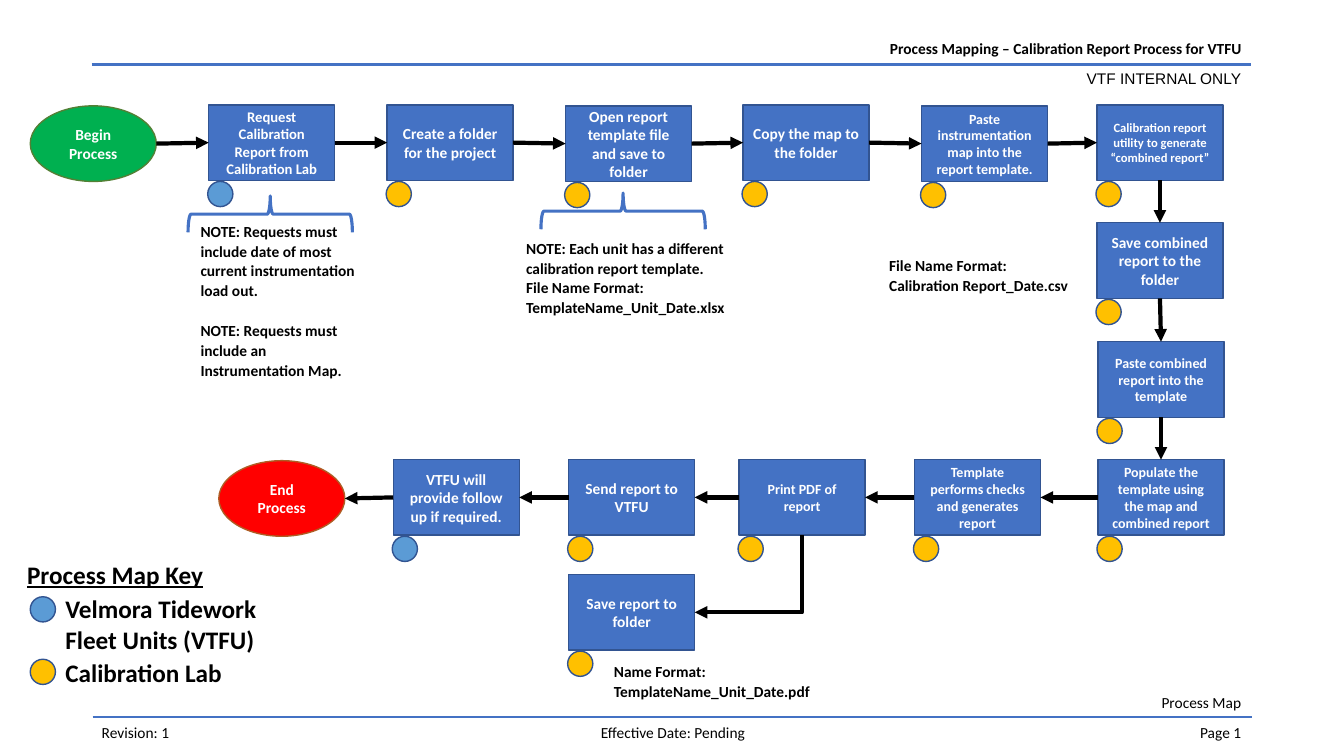
from collections import namedtuple
from itertools import pairwise

from lxml.etree import SubElement
from pptx import Presentation
from pptx.dml.color import RGBColor
from pptx.enum.shapes import MSO_CONNECTOR as CONN, MSO_SHAPE as SHAPE
from pptx.enum.text import MSO_ANCHOR as ANCHOR, MSO_AUTO_SIZE as AUTO, PP_ALIGN as ALIGN
from pptx.oxml.ns import qn
from pptx.util import Inches, Pt

Theme = namedtuple("Theme", "box edge begin begin_edge end end_edge fleet lab ink white "
                            "font alt_font body key")
T = Theme("4472C4", "325491", "00B050", "538035", "FF0000", "AF5C24", "5B9BD5", "FFC000",
          "000000", "FFFFFF", "Calibri", "Arial", 11, 18)

TITLE = ("Process Mapping – Calibration Report Process for VTFU", 6.34, 0.34, 6.08, 0.29)
LABELS = [
    ("VTF INTERNAL ONLY", 9.67, 0.64, 2.74, 0.29, ALIGN.RIGHT, {"name": T.alt_font}),
    ("Revision: 1", 0.91, 7.12, 2.01, 0.29, ALIGN.LEFT, {}),
    ("Process Map", 10.4, 6.83, 2.01, 0.29, ALIGN.RIGHT, {}),
    ("Effective Date: Pending", 5.67, 7.12, 2.01, 0.29, ALIGN.CENTER, {}),
    ("Page 1", 10.4, 7.12, 2.01, 0.29, ALIGN.RIGHT, {}),
    ("Process Map Key", 0.17, 5.5, 2.01, 0.4, ALIGN.LEFT,
     {"size": Pt(T.key), "bold": True, "underline": True}),
]
RULES = [(0.91, 0.64), (0.92, 7.11)]
RULE_W = 11.5
KEY = [
    ("Velmora Tidework Fleet Units (VTFU)", T.fleet, 5.92, 5.84, 2.37, 0.71),
    ("Calibration Lab", T.lab, 6.54, 6.47, 3.93, 0.4),
]
STEP_W, STEP_H, DOT = 1.25, 0.75, 0.25
BEGIN = ("Begin Process", 0.3, 1.05, T.begin, T.begin_edge)
END = ("End Process", 2.17, 4.57, T.end, T.end_edge)
STEPS = [
    ("Request Calibration Report from Calibration Lab", 2.07, 1.04, 10.5, T.fleet),
    ("Create a folder for the project", 3.84, 1.04, 11, T.lab),
    ("Open report template file and save to folder", 5.61, 1.05, 11, T.lab),
    ("Copy the map to the folder", 7.37, 1.04, 11, T.lab),
    ("Paste instrumentation map into the report template.", 9.14, 1.05, 10, T.lab),
    ("Calibration report utility to generate “combined report”", 10.88, 1.04, 9, T.lab),
    ("Save combined report to the folder", 10.88, 2.21, 11, T.lab),
    ("Paste combined report into the template", 10.89, 3.39, 10, T.lab),
    ("Populate the template using the map and combined report", 10.89, 4.56, 10, T.lab),
    ("Template performs checks and generates report", 9.07, 4.56, 10, T.lab),
    ("Print PDF of report", 7.33, 4.56, 10, T.lab),
    ("Send report to VTFU", 5.64, 4.56, 11, T.lab),
    ("VTFU will provide follow up if required.", 3.9, 4.56, 11, T.fleet),
]
PRINT = 10
SAVE = ("Save report to folder", 5.64, 5.7, 11, T.lab)
NOTES = [
    (["NOTE: Requests must include date of most current instrumentation load out.",
      "NOTE: Requests must include an Instrumentation Map."], 1.89, 2.14, 1.78, 1.82, 14.4),
    (["NOTE: Each unit has a different calibration report template.",
      "File Name Format:", "TemplateName_Unit_Date.xlsx"], 5.12, 2.31, 2.37, 1.24, 0),
    (["File Name Format:", "Calibration Report_Date.csv"], 8.72, 2.48, 2.01, 0.57, 0),
    (["Name Format:", "TemplateName_Unit_Date.pdf"], 5.99, 6.51, 2.42, 0.57, 0),
]
BRACES = [(2.5, 1.31), (6, 1.28)]
TOP, LEFT, BOTTOM, RIGHT = range(4)

prs = Presentation()
prs.slide_width, prs.slide_height = Inches(13.33), Inches(7.5)
slide = prs.slides.add_slide(prs.slide_layouts[5])
shapes = slide.shapes


def write(tf, lines, align=ALIGN.LEFT, color=T.ink, fmt=None, para=None):
    for i, line in enumerate(lines):
        p = tf.paragraphs[0] if i == 0 else tf.add_paragraph()
        p.alignment = align
        for name, value in (para or {}).items():
            if name != "space_before" or i:
                setattr(p, name, value)
        r = p.add_run()
        r.text = line
        r.font.color.rgb = RGBColor.from_string(color)
        for name, value in ({"name": T.font, "size": Pt(T.body)} | (fmt or {})).items():
            setattr(r.font, name, value)


def add_text(lines, x, y, w, h, auto=AUTO.SHAPE_TO_FIT_TEXT, **style):
    tf = shapes.add_textbox(*map(Inches, (x, y, w, h))).text_frame
    tf.word_wrap = True
    tf.auto_size = auto
    write(tf, lines, **style)


def add_figure(kind, x, y, w, h, fill, edge, width=1):
    s = shapes.add_shape(kind, *map(Inches, (x, y, w, h)))
    s.shadow.inherit = False
    if fill:
        s.fill.solid()
        s.fill.fore_color.rgb = RGBColor.from_string(fill)
    else:
        s.fill.background()
    s.line.color.rgb = RGBColor.from_string(edge)
    s.line.width = Pt(width)
    return s


def add_block(kind, text, x, y, fill, edge, size=T.body):
    s = add_figure(kind, x, y, STEP_W, STEP_H, fill, edge)
    s.text_frame.word_wrap = True
    s.text_frame.vertical_anchor = ANCHOR.MIDDLE
    write(s.text_frame, [text], ALIGN.CENTER, T.white, {"size": Pt(size), "bold": True})
    return s


def add_step(text, x, y, size, owner):
    s = add_block(SHAPE.RECTANGLE, text, x, y, T.box, T.edge, size)
    add_figure(SHAPE.OVAL, x - 0.01, y + STEP_H + 0.01, DOT, DOT, owner, T.edge)
    return s


def add_line(kind, ends, color, width):
    c = shapes.add_connector(kind, *ends)
    c.line.color.rgb = RGBColor.from_string(color)
    c.line.width = Pt(width)
    SubElement(c._element.spPr, qn("a:effectLst"))
    return c


def side_point(s, side):
    return (s.left + s.width * {LEFT: 0, RIGHT: 2}.get(side, 1) // 2,
            s.top + s.height * {TOP: 0, BOTTOM: 2}.get(side, 1) // 2)


def add_arrow(a, a_side, b, b_side, kind=CONN.STRAIGHT):
    c = add_line(kind, side_point(a, a_side) + side_point(b, b_side), T.ink, 3)
    SubElement(c.line._get_or_add_ln(), qn("a:tailEnd"), type="triangle")
    for s, side, join in ((a, a_side, c.begin_connect), (b, b_side, c.end_connect)):
        if s.auto_shape_type == SHAPE.RECTANGLE:
            join(s, side)
    return c


def bend_down_left(c):
    w, h = c.width, c.height
    c.left, c.top = c.left + (w - h) // 2, c.top + (h - w) // 2
    c.width, c.height = h, w
    xfrm = c._element.spPr.find(qn("a:xfrm"))
    xfrm.flipH = False
    xfrm.set("rot", "5400000")
    geom = c._element.spPr.find(qn("a:prstGeom"))
    geom.set("prst", "bentConnector2")


title = shapes.title
text, *box = TITLE
for name, value in zip(("left", "top", "width", "height"), box):
    setattr(title, name, Inches(value))
tf = title.text_frame
tf.word_wrap = True
tf.vertical_anchor = ANCHOR.TOP
tf.auto_size = AUTO.SHAPE_TO_FIT_TEXT
write(tf, [text], ALIGN.RIGHT, fmt={"bold": True})

for x, y in RULES:
    add_line(CONN.STRAIGHT, map(Inches, (x, y, x + RULE_W, y)), T.box, 1.5)
for text, x, y, w, h, align, fmt in LABELS:
    add_text([text], x, y, w, h, align=align, fmt=fmt)
for text, color, dot_y, y, w, h in KEY:
    add_figure(SHAPE.OVAL, 0.3, dot_y, DOT, DOT, color, T.edge)
    add_text([text], 0.55, y, w, h, fmt={"size": Pt(T.key), "bold": True})

flow = [add_block(SHAPE.OVAL, *BEGIN)]
flow += [add_step(*step) for step in STEPS]
flow.append(add_block(SHAPE.OVAL, *END))
for a, b in pairwise(flow):
    if b.top > a.top + a.height:
        add_arrow(a, BOTTOM, b, TOP)
    elif b.left > a.left:
        add_arrow(a, RIGHT, b, LEFT)
    else:
        add_arrow(a, LEFT, b, RIGHT)
bend_down_left(add_arrow(flow[PRINT + 1], BOTTOM, add_step(*SAVE), RIGHT, CONN.ELBOW))

for x, y in BRACES:
    add_figure(SHAPE.LEFT_BRACE, x, y, 0.36, 1.63, None, T.box, 2.25).rotation = 90
for lines, x, y, w, h, gap in NOTES:
    add_text(lines, x, y, w, h, AUTO.NONE, fmt={"bold": True},
             para={"line_spacing": 1.07, "space_before": Pt(gap)})

prs.save("out.pptx")
